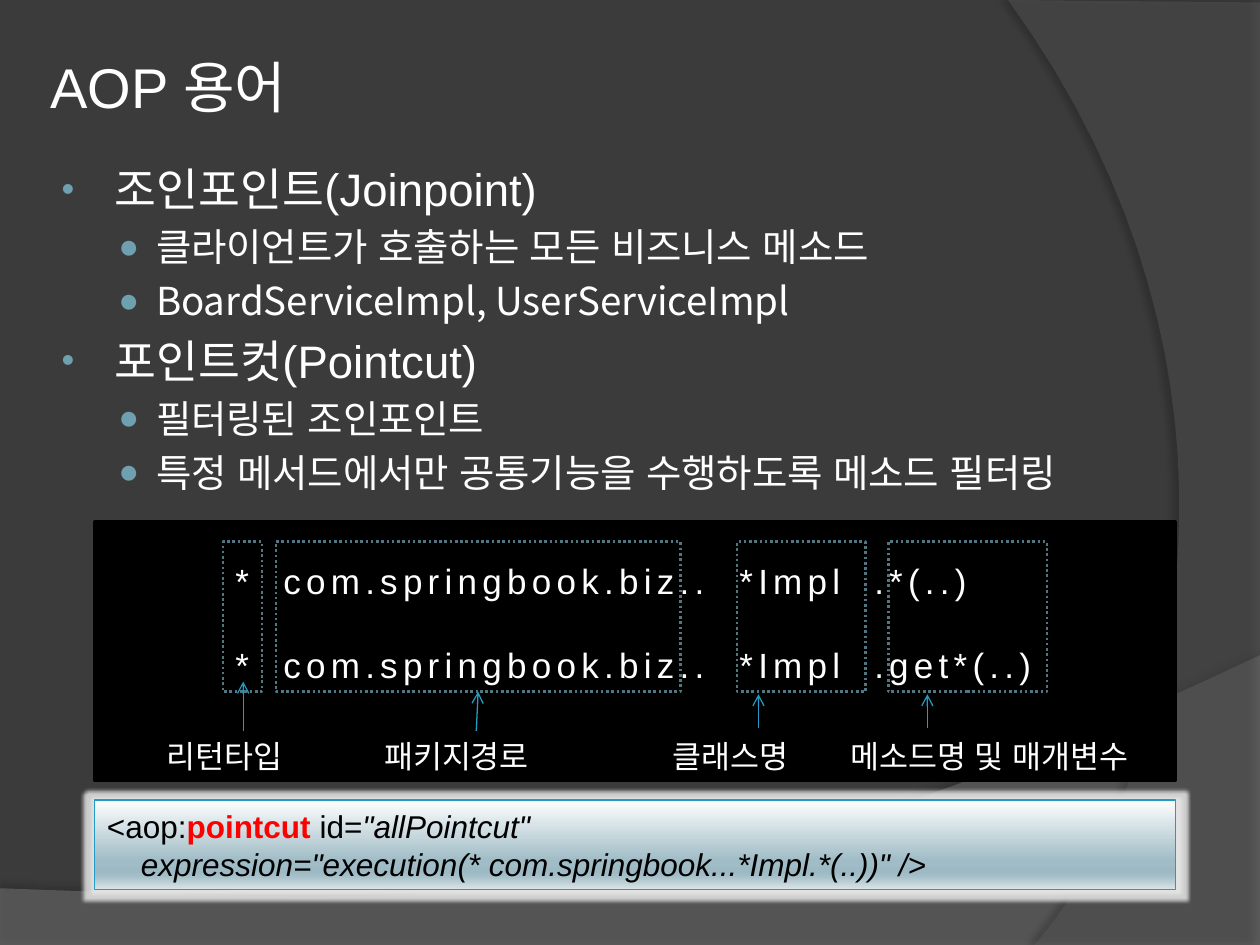
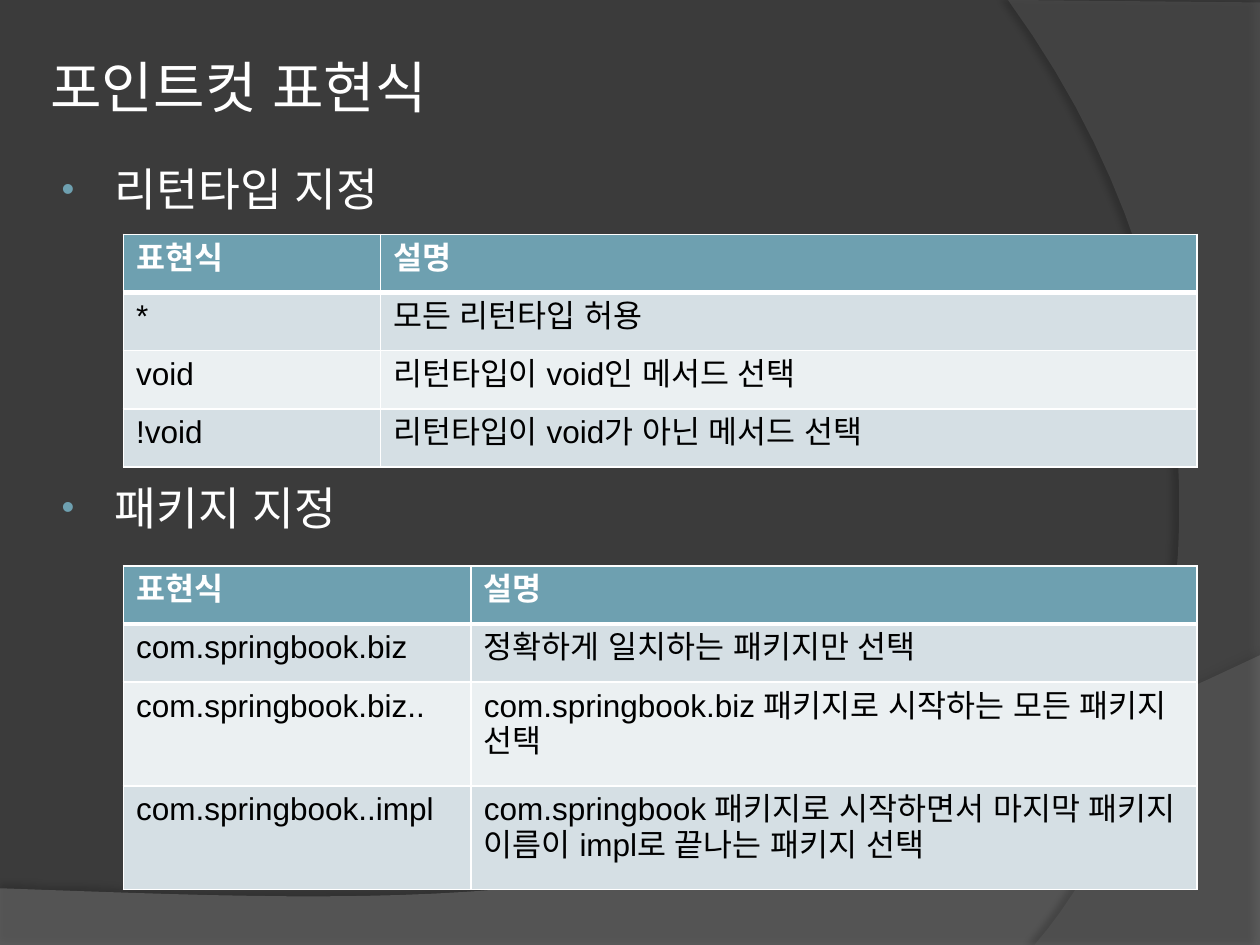
import dataclasses

import lxml.etree
import pptx
import pptx.dml.color
import pptx.enum.dml
import pptx.enum.shapes
import pptx.enum.text
import pptx.oxml.ns
import pptx.util

Pt = pptx.util.Pt
RGB = pptx.dml.color.RGBColor.from_string
qn = pptx.oxml.ns.qn
sub = lxml.etree.SubElement
RECT = pptx.enum.shapes.MSO_SHAPE.RECTANGLE
STRAIGHT = pptx.enum.shapes.MSO_CONNECTOR.STRAIGHT


@dataclasses.dataclass(frozen=True)
class Theme:
    back: str = "3B3B3B"
    white: str = "FFFFFF"
    black: str = "000000"
    red: str = "FF0000"
    accent: str = "6EA0B0"
    dotted: str = "517682"
    arrow: str = "239BC2"
    glow: str = "E6E6E6"
    bands: tuple = ("D5DFE4", "EBF0F2")
    gradient: tuple = ((0, "FEFEFE"), (68, "A0BCC6"), (81, "9CB9C4"),
                       (86, "A7C0C9"), (100, "DAE4E7"))
    latin: str = "Arial"
    korean: str = "Noto Sans CJK KR"
    title: int = 32
    topic: int = 26
    detail: int = 22
    code: int = 20
    small: int = 18


T = Theme()
prs = pptx.Presentation()
prs.slide_width = pptx.util.Inches(10)
prs.slide_height = pptx.util.Inches(7.5)
col = prs.slide_width / 100
row = prs.slide_height / 75


def grid(*values):
    return [round(v * (row if i % 2 else col)) for i, v in enumerate(values)]


def text(tf, content, p=None, size=T.small, color=T.white, font=T.latin, bold=False,
         italic=False, spacing=0, level=0, margin=0, indent=0, bullet=None,
         bullet_size=100, before=0, before_share=0):
    if p is None:
        p = tf.paragraphs[0]
        if p.runs:
            p = tf.add_paragraph()
        p.level = level
        p.alignment = pptx.enum.text.PP_ALIGN.LEFT
        pPr = p._p.get_or_add_pPr()
        pPr.set("marL", str(round(margin * col)))
        pPr.set("indent", str(round(indent * col)))
        if before_share:
            sub(sub(pPr, qn("a:spcBef")), qn("a:spcPct"), val=str(before_share * 1000))
        else:
            p.space_before = Pt(before)
        if bullet:
            sub(sub(pPr, qn("a:buClr")), qn("a:srgbClr"), val=T.accent)
            sub(pPr, qn("a:buSzPct"), val=str(bullet_size * 1000))
            sub(pPr, qn("a:buFont"), typeface=T.latin)
            sub(pPr, qn("a:buChar"), char=bullet)
    r = p.add_run()
    r.text = content
    r.font.size = Pt(size)
    r.font.name = font
    r.font.bold = bold
    r.font.italic = italic
    r.font.color.rgb = RGB(color)
    rPr = r._r.get_or_add_rPr()
    sub(rPr, qn("a:ea"), typeface=T.latin)
    if spacing:
        rPr.set("spc", str(spacing * 100))
    return p


topic = dict(size=T.topic, margin=4.6, indent=-4.2, bullet="•", bullet_size=80,
             before_share=20)
detail = dict(size=T.detail, font=T.korean, level=1, margin=7.9, indent=-3,
              bullet="●", bullet_size=90, before_share=20)

wings = (
    ([(0, 70.5), (0, 75.1), (100, 75.1), (100, 52)],
     [(100, 52), (55.9, 72.9), (39.1, 71.9), (0, 70.5)],
     "7F7F7F", 45, 35, 3.5, 270),
    ([(80, 0), (100, 0.2), (100, 75), (82.1, 75)],
     [(82.1, 75), (93.5, 61.9), (101.8, 30), (80, 0)],
     "5E5E5E", 40, 45, 4, 180),
)

prs.slide_master.background.fill.solid()
prs.slide_master.background.fill.fore_color.rgb = RGB(T.back)
slides, bodies = [], []
for title in ("AOP 용어", "포인트컷 표현식"):
    s = prs.slides.add_slide(prs.slide_layouts[6])
    for corners, curve, color, opacity, shade, distance, angle in wings:
        points = list(corners)
        for step in range(1, 33):
            t = step / 32
            weights = ((1 - t) ** 3, 3 * t * (1 - t) ** 2, 3 * t * t * (1 - t), t ** 3)
            points.append([sum(w * c[axis] for w, c in zip(weights, curve)) for axis in (0, 1)])
        points = [grid(*point) for point in points]
        fb = s.shapes.build_freeform(*points[0])
        fb.add_line_segments(points[1:])
        sp = fb.convert_to_shape()
        sp.fill.solid()
        sp.fill.fore_color.rgb = RGB(color)
        sub(sp.element.xpath("./p:spPr/a:solidFill/a:srgbClr")[0], qn("a:alpha"),
            val=str(opacity * 1000))
        sp.line.fill.background()
        sp.shadow.inherit = False
        shadow = sub(sp.element.spPr.find(qn("a:effectLst")), qn("a:outerShdw"),
                     blurRad=str(Pt(4)), dist=str(Pt(distance)), dir=str(angle * 60000),
                     algn="ctr", rotWithShape="0")
        sub(sub(shadow, qn("a:srgbClr"), val=T.black), qn("a:alpha"), val=str(shade * 1000))
    tf = s.shapes.add_textbox(*grid(3.5, 3, 92.9, 7.7)).text_frame
    tf.word_wrap = True
    tf.vertical_anchor = pptx.enum.text.MSO_ANCHOR.MIDDLE
    tf.margin_left = tf.margin_right = round(col / 2)
    text(tf, title, size=T.title)
    tf = s.shapes.add_textbox(*grid(3.5, 12.3, 92.9, 54.7)).text_frame
    tf.word_wrap = True
    slides.append(s)
    bodies.append(tf)

s, tf = slides[0], bodies[0]
terms = {
    "조인포인트(Joinpoint)": ("클라이언트가 호출하는 모든 비즈니스 메소드",
                         "BoardServiceImpl, UserServiceImpl"),
    "포인트컷(Pointcut)": ("필터링된 조인포인트",
                       "특정 메서드에서만 공통기능을 수행하도록 메소드 필터링"),
}
for term, details in terms.items():
    text(tf, term, **topic)
    for item in details:
        text(tf, item, **detail)

panel = s.shapes.add_shape(RECT, *grid(7.5, 41.4, 85.8, 20.6))
panel.fill.solid()
panel.fill.fore_color.rgb = RGB(T.black)
panel.line.color.rgb = RGB(T.black)
panel.line.width = Pt(1.5)
panel.shadow.inherit = False

codes = (
    (17.7, 4, ("*", "*")),
    (21.5, 36.5, ("com.springbook.biz..", "com.springbook.biz..")),
    (57.7, 11, ("*Impl", "*Impl")),
    (68.4, 16.5, (".*(..)", ".get*(..)")),
)
for left, width, lines in codes:
    tf = s.shapes.add_textbox(*grid(left, 43.9, width, 11.1)).text_frame
    tf.word_wrap = True
    for line, before in zip(lines, (0, 24)):
        text(tf, line, size=T.code, spacing=3, before=before)

parts = (
    ("리턴타입", 12.2, 12.6, 17.7, 3.1, (19.3, 58), (19.3, 54.1)),
    ("패키지경로", 29.5, 15, 21.9, 32.1, (37.8, 58), None),
    ("클래스명", 52.4, 14.2, 58.5, 10.2, (60.2, 57.8), (60.2, 55.1)),
    ("메소드명 및 매개변수", 66.5, 26.8, 70.5, 12.6, (73.6, 57.8), (73.6, 55.1)),
)
for label, label_x, label_w, frame_x, frame_w, start, end in parts:
    frame = s.shapes.add_shape(RECT, *grid(frame_x, 43, frame_w, 11.9))
    frame.fill.background()
    frame.line.color.rgb = RGB(T.dotted)
    frame.line.width = Pt(1.5)
    frame.line.dash_style = pptx.enum.dml.MSO_LINE.ROUND_DOT
    frame.shadow.inherit = False
    tf = s.shapes.add_textbox(*grid(label_x, 58, label_w, 4)).text_frame
    tf.word_wrap = True
    text(tf, label)
    cx = s.shapes.add_connector(STRAIGHT, *grid(*start, *(end or start)))
    if end is None:
        cx.end_connect(frame, 2)
    cx.line.color.rgb = RGB(T.arrow)
    cx.line.width = Pt(0.75)
    sub(cx.element.spPr.find(qn("a:ln")), qn("a:tailEnd"), type="arrow")
    sub(cx.element.spPr, qn("a:effectLst"))

sp = s.shapes.add_shape(RECT, *grid(7.5, 63.5, 85.8, 7.1))
sp.fill.gradient()
sp.fill.gradient_angle = 270
stops = sp.element.xpath("./p:spPr/a:gradFill/a:gsLst")[0]
for old in list(stops):
    stops.remove(old)
for position, color in T.gradient:
    sub(sub(stops, qn("a:gs"), pos=str(position * 1000)), qn("a:srgbClr"), val=color)
sp.line.color.rgb = RGB(T.arrow)
sp.line.width = Pt(0.75)
sp.shadow.inherit = False
glow = sub(sp.element.spPr.find(qn("a:effectLst")), qn("a:glow"), rad=str(Pt(4)))
sub(sub(glow, qn("a:srgbClr"), val=T.glow), qn("a:alpha"), val="85000")
tf = sp.text_frame
tf.word_wrap = True
p = text(tf, "<aop:", color=T.black)
text(tf, "pointcut", p=p, color=T.red, bold=True)
text(tf, " id=", p=p, color=T.black)
text(tf, '"allPointcut"', p=p, color=T.black, italic=True)
text(tf, 'expression="execution(* com.springbook...*Impl.*(..))" />',
     color=T.black, italic=True, margin=2.7)

s, tf = slides[1], bodies[1]
text(tf, "리턴타입 지정", **topic)
text(tf, "패키지 지정", **{**topic, "before_share": 0, "before": 151})

header = ("표현식", "설명")
tables = (
    (18.6, (20.4, 64.8), (4.62, 4.62, 4.62, 4.62), (
        header,
        ("*", "모든 리턴타입 허용"),
        ("void", "리턴타입이 void인 메서드 선택"),
        ("!void", "리턴타입이 void가 아닌 메서드 선택"))),
    (44.9, (27.6, 57.6), (4.62, 4.62, 8.24, 8.24), (
        header,
        ("com.springbook.biz", "정확하게 일치하는 패키지만 선택"),
        ("com.springbook.biz..", "com.springbook.biz 패키지로 시작하는 모든 패키지 선택"),
        ("com.springbook..impl",
         "com.springbook 패키지로 시작하면서 마지막 패키지 이름이 impl로 끝나는 패키지 선택"))),
)
for top, widths, heights, rows in tables:
    tbl = s.shapes.add_table(len(rows), 2, *grid(9.8, top, 85.2, sum(heights))).table
    for column, width in zip(tbl.columns, widths):
        column.width = round(width * col)
    for i, values in enumerate(rows):
        tbl.rows[i].height = round(heights[i] * row)
        for j, value in enumerate(values):
            cell = tbl.cell(i, j)
            tcPr = cell._tc.get_or_add_tcPr()
            for side in ("lnL", "lnR", "lnT", "lnB"):
                thick = (i, side) in ((0, "lnB"), (1, "lnT"))
                ln = sub(tcPr, qn("a:" + side), w=str(Pt(3 if thick else 1)))
                sub(sub(ln, qn("a:solidFill")), qn("a:srgbClr"), val=T.white)
            cell.fill.solid()
            cell.fill.fore_color.rgb = RGB(T.bands[(i - 1) % 2] if i else T.accent)
            text(cell.text_frame, value, color=T.black if i else T.white, bold=i == 0)

prs.save("out.pptx")
